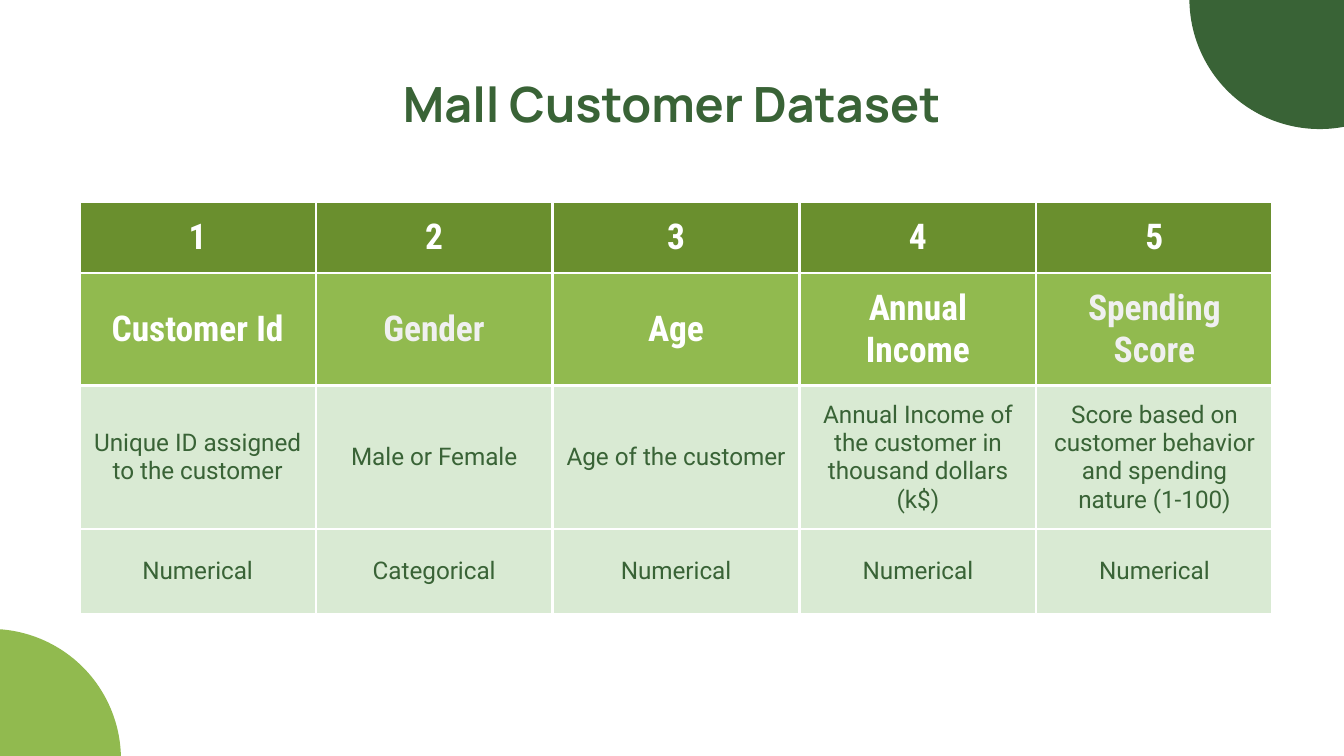
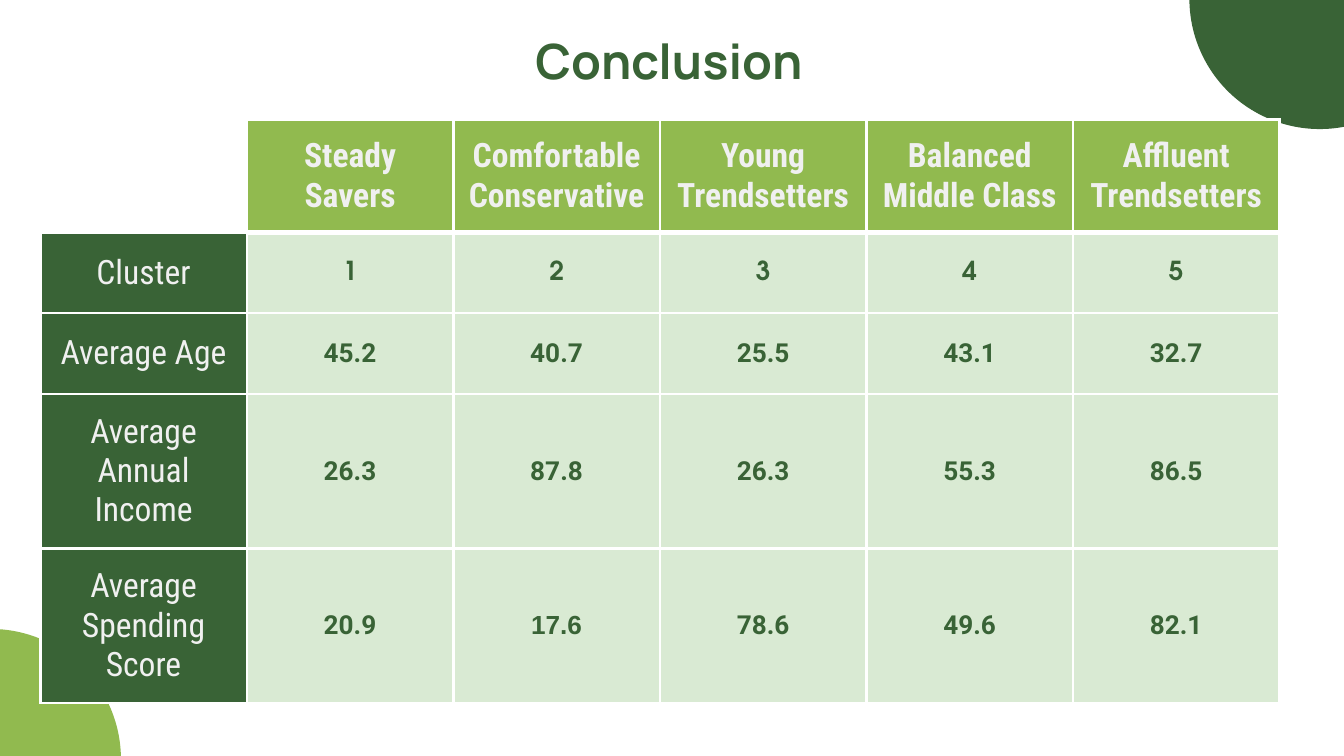
from lxml import etree
from pptx import Presentation
from pptx.dml.color import RGBColor
from pptx.enum.shapes import MSO_SHAPE
from pptx.enum.text import MSO_ANCHOR, PP_ALIGN
from pptx.oxml.ns import qn
from pptx.util import Inches, Pt

OVAL = MSO_SHAPE.OVAL
MIDDLE = MSO_ANCHOR.MIDDLE
CENTER = PP_ALIGN.CENTER

DARK, OLIVE, LEAF, PALE = "396336", "6A8F2E", "91BA4F", "D9EAD3"
WHITE, OFF_WHITE = "FFFFFF", "F0F0F0"
CONDENSED, BODY = "Roboto Condensed", "Roboto"
INSET = Inches(0.1)


def rgb(color):
    return RGBColor.from_string(color)


def write(holder, frame, text, font, size, color, bold):
    """Centre styled text in a text box or table cell."""
    holder.margin_left = holder.margin_right = INSET
    holder.margin_top = holder.margin_bottom = INSET
    holder.vertical_anchor = MIDDLE
    frame.word_wrap = True
    frame.text = text
    paragraph = frame.paragraphs[0]
    paragraph.alignment = CENTER
    for run in paragraph.runs:
        run.font.name, run.font.size, run.font.bold = font, Pt(size), bold
        run.font.color.rgb = rgb(color)


# Cell styles: fill, font, size, text colour, bold
NUMBER = (OLIVE, CONDENSED, 19, WHITE, True)
FIELD = (LEAF, CONDENSED, 19, WHITE, True)
SOFT_FIELD = (LEAF, CONDENSED, 19, OFF_WHITE, True)
DETAIL = (PALE, BODY, 13, DARK, False)
SEGMENT = (LEAF, CONDENSED, 18, OFF_WHITE, True)
MEASURE = (DARK, CONDENSED, 18, OFF_WHITE, False)
CLUSTER = (PALE, "TeX Gyre Adventor", 14, DARK, True)
VALUE = (PALE, BODY, 14, DARK, True)
ARIAL_VALUE = (PALE, "Arial", 14, DARK, True)

pages = [
    {
        "title": "Mall Customer Dataset", "title_at": (0.5, 0.45),
        "table_at": (0.59, 1.5),
        "columns": [1.76, 1.76, 1.84, 1.76, 1.76],
        "heights": [0.53, 0.84, 1.05, 0.63],
        "rows": [
            ["1", "2", "3", "4", "5"],
            ["Customer Id", "Gender", "Age", "Annual Income", "Spending Score"],
            ["Unique ID assigned to the customer", "Male or Female",
             "Age of the customer",
             "Annual Income of the customer in thousand dollars (k$)",
             "Score based on customer behavior and spending nature (1-100)"],
            ["Numerical", "Categorical", "Numerical", "Numerical", "Numerical"],
        ],
        "styles": [NUMBER, FIELD, DETAIL, DETAIL],
        "first_column": None,
        "exceptions": {(1, 1): SOFT_FIELD, (1, 4): SOFT_FIELD},
        "thick_sides": {},
    },
    {
        "title": "Conclusion", "title_at": (0.48, 0.13),
        "table_at": (0.3, 0.89),
        "columns": [9.22 / 6] * 6,
        "heights": [0.84, 0.6, 0.6, 1.15, 1.15],
        "rows": [
            ["", "Steady Savers", "Comfortable Conservative", "Young Trendsetters",
             "Balanced Middle Class", "Affluent Trendsetters"],
            ["Cluster", "1", "2", "3", "4", "5"],
            ["Average Age", "45.2", "40.7", "25.5", "43.1", "32.7"],
            ["Average Annual Income", "26.3", "87.8", "26.3", "55.3", "86.5"],
            ["Average Spending Score", "20.9", "17.6", "78.6", "49.6", "82.1"],
        ],
        "styles": [SEGMENT, CLUSTER, VALUE, VALUE, VALUE],
        "first_column": MEASURE,
        "exceptions": {(4, 2): ARIAL_VALUE},
        "thick_sides": {0: "B", 1: "T"},  # between segment names and clusters
    },
]

prs = Presentation()
prs.slide_width, prs.slide_height = Inches(10), Inches(10 * 9 / 16)

for page in pages:
    slide = prs.slides.add_slide(prs.slide_layouts[6])

    # Corner circles
    for left, top, color in [(-1.04, 4.68, LEAF), (8.85, -0.98, DARK)]:
        circle = slide.shapes.add_shape(
            OVAL, Inches(left), Inches(top), Inches(1.94), Inches(1.94))
        circle.shadow.inherit = False
        circle.fill.solid()
        circle.fill.fore_color.rgb = rgb(color)
        circle.line.fill.background()

    # Title
    left, top = page["title_at"]
    title = slide.shapes.add_textbox(
        Inches(left), Inches(top), Inches(9), Inches(0.63)).text_frame
    write(title, title, page["title"], "Manrope", 26, DARK, True)

    # Table grid
    left, top = page["table_at"]
    columns, heights = page["columns"], page["heights"]
    table = slide.shapes.add_table(
        len(heights), len(columns), Inches(left), Inches(top),
        Inches(sum(columns)), Inches(sum(heights))).table
    table.first_row = table.horz_banding = False
    for column, width in zip(table.columns, columns):
        column.width = Inches(width)
    for row, height in zip(table.rows, heights):
        row.height = Inches(height)

    # Table cells
    for r, texts in enumerate(page["rows"]):
        for c, text in enumerate(texts):
            cell = table.cell(r, c)
            style = page["styles"][r]
            if c == 0 and page["first_column"]:
                style = page["first_column"]
            fill, *lettering = page["exceptions"].get((r, c), style)
            write(cell, cell.text_frame, text, *lettering)

            # White borders go before the fill in the cell properties
            properties = cell._tc.get_or_add_tcPr()
            for side in "LRTB":
                thick = c > 0 and page["thick_sides"].get(r) == side
                edge = etree.SubElement(properties, qn(f"a:ln{side}"),
                                        w=str(Pt(3 if thick else 1.5)))
                paint = etree.SubElement(edge, qn("a:solidFill"))
                etree.SubElement(paint, qn("a:srgbClr"), val=WHITE)

            if text:
                cell.fill.solid()
                cell.fill.fore_color.rgb = rgb(fill)
            else:
                cell.fill.background()

prs.save("out.pptx")
